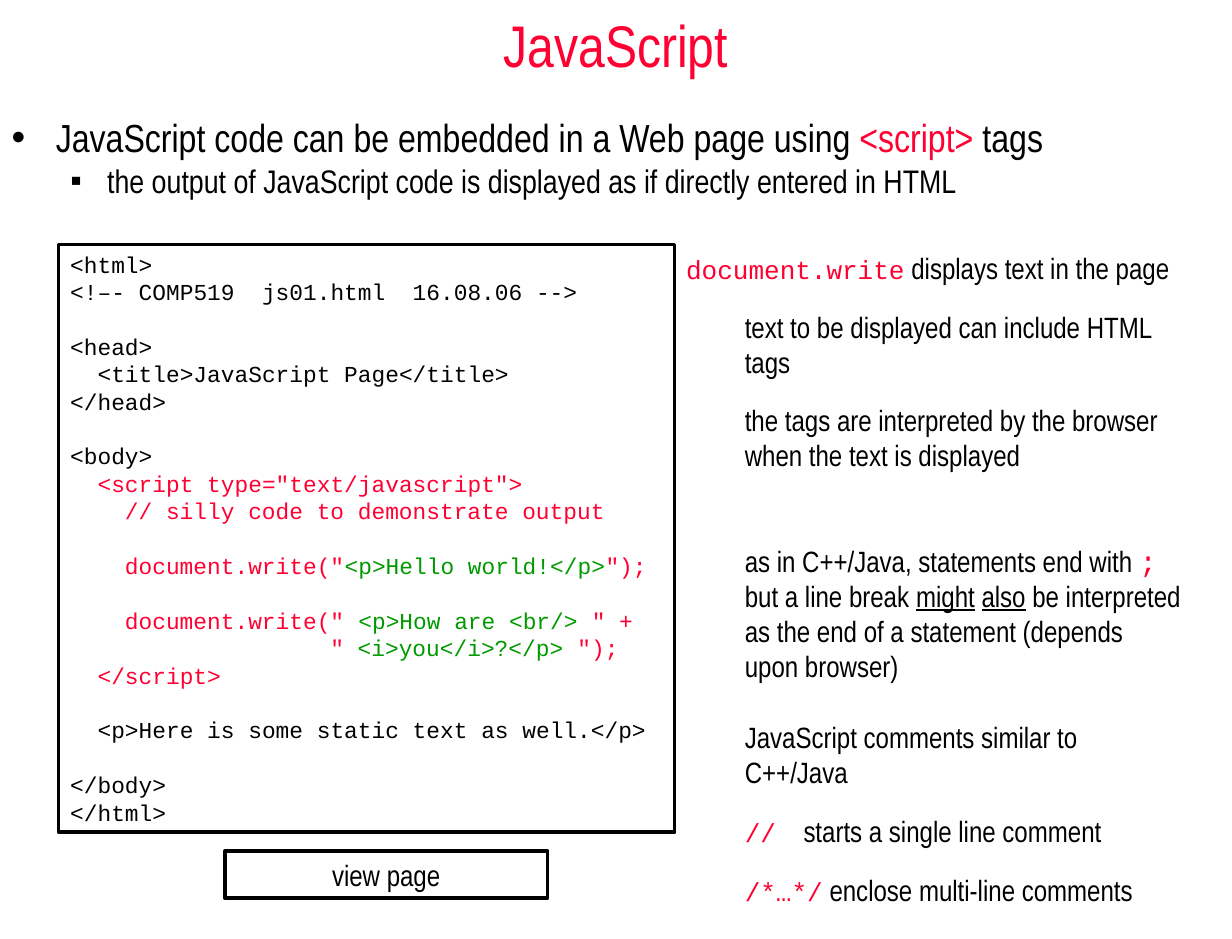
from lxml.etree import SubElement
from pptx import Presentation
from pptx.dml.color import RGBColor
from pptx.enum.shapes import MSO_SHAPE as Shape
from pptx.enum.text import MSO_ANCHOR as Anchor, MSO_AUTO_SIZE as AutoSize, PP_ALIGN as Align
from pptx.oxml.ns import qn
from pptx.util import Pt

COLORS = {"black": "000000", "red": "FF0033", "green": "009900"}
NARROW, MONO = "Arial Narrow", "Courier New"
CODE_SIZE, CODE_LINE, CHARACTER = 14, 16.8, 8.4

CODE = [
    (0, 0, [("<html>", "black")]),
    (0, 0, [("<!–- COMP519  js01.html  16.08.06 -->", "black")]),
    (1, 0, [("<head>", "black")]),
    (0, 2, [("<title>JavaScript Page</title>", "black")]),
    (0, 0, [("</head>", "black")]),
    (1, 0, [("<body>", "black")]),
    (0, 2, [('<script type="text/javascript">', "red")]),
    (0, 4, [("// silly code to demonstrate output", "red")]),
    (1, 4, [('document.write("', "red"), ("<p>Hello world!</p>", "green"), ('");', "red")]),
    (1, 4, [('document.write(" ', "red"), ("<p>How are <br/> ", "green"), ('" +', "red")]),
    (0, 19, [('" ', "red"), ("<i>you</i>?</p> ", "green"), ('");', "red")]),
    (0, 2, [("</script>", "red")]),
    (1, 2, [("<p>Here is some static text as well.</p>", "black")]),
    (1, 0, [("</body>", "black")]),
    (0, 0, [("</html>", "black")]),
]


def plain(text):
    return text, NARROW, 18, "black"


def code(text, size=16):
    return text, MONO, size, "red"


NOTES = [
    (0, 0, [code("document.write"), plain(" displays text in the page")]),
    (14.5, 36, [plain("text to be displayed can include HTML tags")]),
    (14.5, 36, [plain("the tags are interpreted by the browser when the text is displayed")]),
    (43.5, 36, [plain("as in C++/Java, statements end with "), code(";", 18)]),
    (0, 36, [plain("but a line break "), (*plain("might"), True), plain(" "), (*plain("also"), True),
             plain(" be interpreted as the end of a statement (depends upon browser)")]),
    (22, 36, [plain("JavaScript comments similar to C++/Java")]),
    (14.5, 36, [code("//"), plain("\tstarts a single line comment")]),
    (14.5, 36, [code("/*…*/"), plain(" enclose multi-line comments")]),
]


def add_run(paragraph, text, font, size, color, underline=False):
    run = paragraph.add_run()
    run.text = text
    run.font.name = font
    run.font.size = Pt(size)
    run.font.color.rgb = RGBColor.from_string(COLORS[color])
    if underline:
        run.font.underline = True


def format_paragraph(paragraph, before=0, left=0, hanging=0, spacing=1.0, align=Align.LEFT):
    paragraph.alignment = align
    paragraph.space_before = Pt(before)
    paragraph.line_spacing = spacing
    properties = paragraph._p.get_or_add_pPr()
    properties.set("marL", str(Pt(left)))
    properties.set("indent", str(Pt(-hanging)))
    return properties


def place(shape, left, top, width, height):
    shape.left, shape.top, shape.width, shape.height = Pt(left), Pt(top), Pt(width), Pt(height)


def prepare_frame(shape, anchor=Anchor.TOP):
    frame = shape.text_frame
    frame.word_wrap = True
    frame.auto_size = AutoSize.NONE
    frame.vertical_anchor = anchor
    return frame


def paragraphs_for(frame, items):
    for index, item in enumerate(items):
        yield frame.paragraphs[0] if index == 0 else frame.add_paragraph(), item


def add_box(slide, left, top, width, height, anchor=Anchor.TOP):
    box = slide.shapes.add_shape(Shape.RECTANGLE, Pt(left), Pt(top), Pt(width), Pt(height))
    box.shadow.inherit = False
    box.fill.background()
    box.line.color.rgb = RGBColor.from_string(COLORS["black"])
    box.line.width = Pt(2.25)
    return prepare_frame(box, anchor)


def fill_title(title):
    place(title, 0, 0, 756, 54)
    paragraph = prepare_frame(title, Anchor.MIDDLE).paragraphs[0]
    format_paragraph(paragraph, align=Align.CENTER)
    add_run(paragraph, "JavaScript", NARROW, 36, "red")


def fill_bullets(body):
    place(body, 0, 66, 756, 81)
    bullets = [
        (0, "•", 24, 6, 27, 27, 1.0, [("JavaScript code can be embedded in a Web page using ", "black"),
                                      ("<script>", "red"), (" tags", "black")]),
        (1, "▪", 20, 5, 58.5, 22.5, 0.8,
         [("the output of JavaScript code is displayed as if directly entered in HTML", "black")]),
    ]
    for paragraph, item in paragraphs_for(prepare_frame(body), bullets):
        level, bullet, size, before, left, hanging, spacing, runs = item
        paragraph.level = level
        properties = format_paragraph(paragraph, before, left, hanging, spacing)
        color = SubElement(properties, qn("a:buClr"))
        SubElement(color, qn("a:srgbClr"), val=COLORS["black"])
        SubElement(properties, qn("a:buChar"), char=bullet)
        for text, color_name in runs:
            add_run(paragraph, text, NARROW, size, color_name)


def add_code(slide):
    frame = add_box(slide, 36, 150, 378, 360.5)
    for paragraph, (gap, indent, runs) in paragraphs_for(frame, CODE):
        format_paragraph(paragraph, gap * CODE_LINE, indent * CHARACTER, spacing=Pt(CODE_LINE))
        for text, color in runs:
            add_run(paragraph, text, MONO, CODE_SIZE, color)


def add_notes(slide):
    box = slide.shapes.add_textbox(Pt(414), Pt(150), Pt(318), Pt(389))
    for paragraph, (before, left, runs) in paragraphs_for(prepare_frame(box), NOTES):
        properties = format_paragraph(paragraph, before, left, spacing=Pt(21.5))
        if any("\t" in run[0] for run in runs):
            tabs = SubElement(properties, qn("a:tabLst"))
            SubElement(tabs, qn("a:tab"), pos=str(Pt(86.4)), algn="l")
        for run in runs:
            add_run(paragraph, *run)


def add_button(slide):
    paragraph = add_box(slide, 138, 522, 198, 29, Anchor.MIDDLE).paragraphs[0]
    format_paragraph(paragraph, align=Align.CENTER)
    add_run(paragraph, "view page", NARROW, 18, "black")


def main():
    presentation = Presentation()
    presentation.slide_width, presentation.slide_height = Pt(756), Pt(576)
    slide = presentation.slides.add_slide(presentation.slide_layouts[1])
    fill_title(slide.shapes.title)
    fill_bullets(slide.placeholders[1])
    add_code(slide)
    add_notes(slide)
    add_button(slide)
    presentation.save("out.pptx")


if __name__ == "__main__":
    main()
